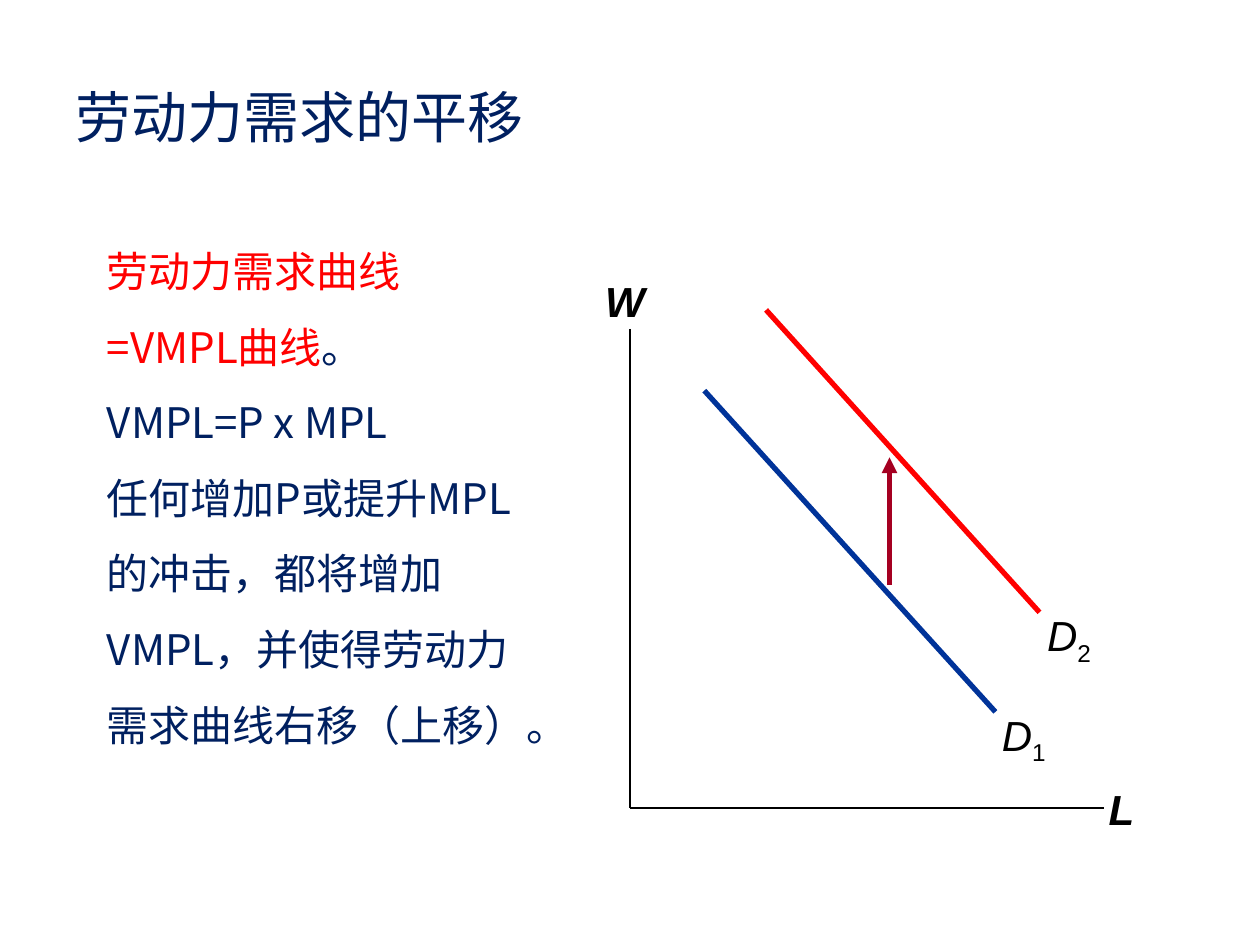
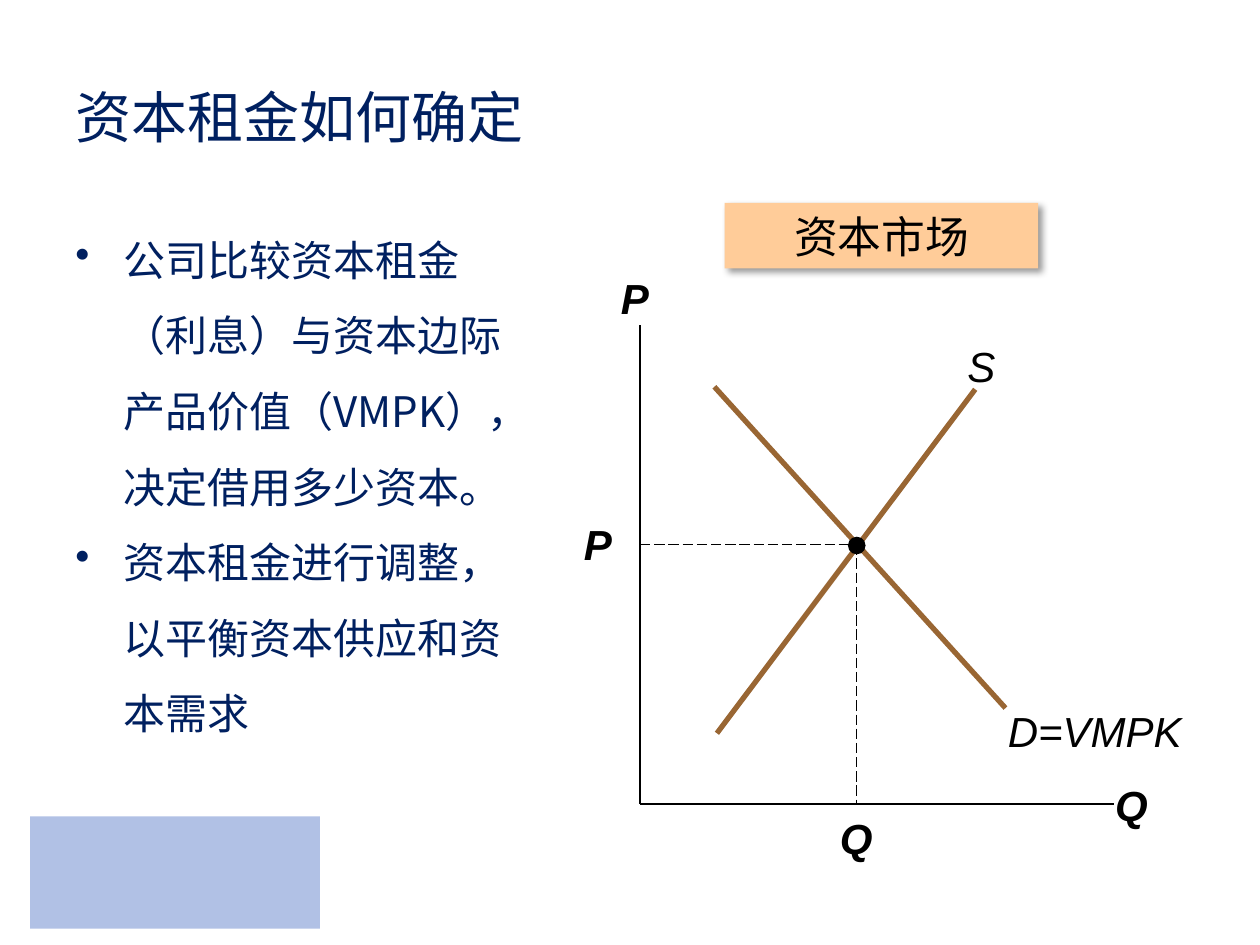
from lxml import etree
from pptx import Presentation
from pptx import util as u
from pptx.dml.color import RGBColor
from pptx.enum import dml, shapes, text
from pptx.oxml import parse_xml
from pptx.oxml.ns import nsdecls, qn

COLORS = {
    "navy": "002060", "red": "FF0000", "black": "000000", "blue": "003399",
    "crimson": "A50021", "brown": "996633", "peach": "FFCC99", "pale": "B1C1E5",
}
RGB = {name: RGBColor.from_string(code) for name, code in COLORS.items()}
CJK, LATIN = "Noto Sans CJK SC", "Arial"
CENTER, LEFT = text.PP_ALIGN.CENTER, text.PP_ALIGN.LEFT

deck = Presentation()
deck.slide_width, deck.slide_height = u.Inches(10), u.Inches(7.5)
# Square grid: 100 columns by 75 rows
CELL = deck.slide_width / 100


def write(page, area, lines, size=24, color="black", font=LATIN, align=LEFT,
          bold=False, italic=False, spacing=None, bullet=None, fill=None):
    """Put paragraphs in a text box, or in a rectangle when a fill is given.
    A line is a list of spans: (text, font settings)."""
    area = [round(n * CELL) for n in area]
    if fill:
        box = page.shapes.add_shape(shapes.MSO_SHAPE.RECTANGLE, *area)
        box.shadow.inherit = False
        box.fill.solid()
        box.fill.fore_color.rgb = RGB[fill]
        box.line.fill.background()
    else:
        box = page.shapes.add_textbox(*area)
    frame = box.text_frame
    frame.word_wrap = True
    if align == CENTER:
        frame.margin_left = frame.margin_right = 0
    for i, line in enumerate(lines):
        para = frame.add_paragraph() if i else frame.paragraphs[0]
        para.alignment = align
        if spacing:
            para.line_spacing = spacing
        if bullet:
            props = para._p.get_or_add_pPr()
            props.set("marL", str(u.Inches(0.38)))
            props.set("indent", str(-u.Inches(0.38)))
            etree.SubElement(props, qn("a:buChar")).set("char", bullet)
        para.font.name, para.font.size = font, u.Pt(size)
        para.font.bold, para.font.italic = bold, italic
        para.font.color.rgb = RGB[color]
        defaults = para._p.pPr.find(qn("a:defRPr"))
        etree.SubElement(defaults, qn("a:ea")).set("typeface", font)
        for words, look in line:
            if words == "\n":
                para.add_line_break()
                continue
            span = para.add_run()
            span.text = words
            if "color" in look:
                span.font.color.rgb = RGB[look["color"]]
            if look.get("subscript"):
                span.font.italic = False
                span._r.get_or_add_rPr().set("baseline", "-25000")
    return box


def draw(page, start, end, color="black", width=1, dashed=False, arrow=False):
    """Draw a straight line between two grid points."""
    points = [round(n * CELL) for n in (*start, *end)]
    line = page.shapes.add_connector(shapes.MSO_CONNECTOR.STRAIGHT, *points)
    line.line.color.rgb, line.line.width = RGB[color], u.Pt(width)
    if dashed:
        line.line.dash_style = dml.MSO_LINE.LONG_DASH
    if arrow:
        etree.SubElement(line.line._get_or_add_ln(), qn("a:tailEnd")).set("type", "triangle")
    etree.SubElement(line._element.spPr, qn("a:effectLst"))


# Shared frame of both slides: title, axes, axis names and falling demand curve
charts = [
    ("劳动力需求的平移", "W", "L", (50, 64.1), "blue"),
    ("资本租金如何确定", "P", "Q", (50.8, 63.8), "brown"),
]
axis_style = dict(align=CENTER, bold=True, italic=True)
pages = []
for title, vertical, horizontal, (x, y), demand_color in charts:
    page = deck.slides.add_slide(deck.slide_layouts[6])
    pages.append(page)
    heading = write(page, (5, 3, 90, 12.5), [[(title, {})]], 32, "navy", CJK)
    heading.text_frame.vertical_anchor = text.MSO_ANCHOR.MIDDLE
    draw(page, (x, y - 38), (x, y))
    draw(page, (x, y), (x + 37.6, y))
    write(page, (x - 2.7, y - 42.7, 4.6, 5), [[(vertical, {})]], **axis_style)
    write(page, (x + 36.5, y - 2.4, 5, 5), [[(horizontal, {})]], **axis_style)
    draw(page, (x + 5.9, y - 33.1), (x + 29, y - 7.6), demand_color, 3)
labor, capital = pages

# Slide 1: explanation
red = {"color": "red"}
write(labor, (7.5, 17, 36.8, 43.4), [
    [("劳动力需求曲线", red), ("\n", {}), ("=VMPL曲线", red), ("。", {})],
    [("VMPL=P x MPL", {})],
    [("任何增加P或提升MPL的冲击，都将增加VMPL，并使得劳动力需求曲线右移（上移）。", {})],
], color="navy", font=CJK, spacing=1.5)

# Slide 1: shifted demand, curve names and shift arrow
draw(labor, (60.8, 24.6), (82.5, 48.6), "red", 3)
for number, left, top in (("1", 78.2, 55.8), ("2", 81.8, 47.9)):
    write(labor, (left, top, 6.1, 5), [[("D", {}), (number, {"subscript": True})]],
          align=CENTER, italic=True)
draw(labor, (70.6, 46.4), (70.6, 36.3), "crimson", 3, arrow=True)

# Slide 2: corner block and explanation
write(capital, (2.4, 64.8, 23, 8.9), [], fill="pale")
write(capital, (5, 16.1, 37.6, 43.4), [
    [("公司比较资本租金（利息）与资本边际产品价值（VMPK），决定借用多少资本。", {})],
    [("资本租金进行调整，以平衡资本供应和资本需求", {})],
], color="navy", font=CJK, spacing=1.5, bullet="•")

# Slide 2: supply curve and curve names
draw(capital, (56.9, 58.2), (77.4, 30.9), "brown", 3)
write(capital, (79, 55.5, 17, 5), [[("D=VMPK", {})]], italic=True)
write(capital, (75.8, 26.5, 5.3, 5), [[("S", {})]], italic=True)

# Slide 2: equilibrium with guides to both axes
x, y = charts[1][3]
price_y, quantity_x = 43.2, 68
draw(capital, (x, price_y), (quantity_x, price_y), width=0.75, dashed=True)
draw(capital, (quantity_x, price_y), (quantity_x, y), width=0.75, dashed=True)
dot_area = [round(n * CELL) for n in (quantity_x - 0.7, price_y - 0.6, 1.4, 1.4)]
dot = capital.shapes.add_shape(shapes.MSO_SHAPE.OVAL, *dot_area)
dot.shadow.inherit = False
dot.fill.solid()
dot.fill.fore_color.rgb = RGB["black"]
dot.line.fill.background()
write(capital, (44.8, 40.7, 5.3, 5), [[("P", {})]], **axis_style)
write(capital, (65.3, 64, 5.3, 5), [[("Q", {})]], **axis_style)

# Slide 2: market banner with a soft shadow
banner = write(capital, (57.5, 16.1, 24.9, 5.2), [[("资本市场", {})]], 25,
               font=CJK, align=CENTER, fill="peach")
banner._element.spPr.find(qn("a:effectLst")).append(parse_xml(
    f'<a:outerShdw {nsdecls("a")} blurRad="{u.Pt(4)}" dist="{u.Pt(3)}" dir="2700000">'
    f'<a:srgbClr val="{COLORS["black"]}"><a:alpha val="40000"/></a:srgbClr></a:outerShdw>'))

deck.save("out.pptx")
